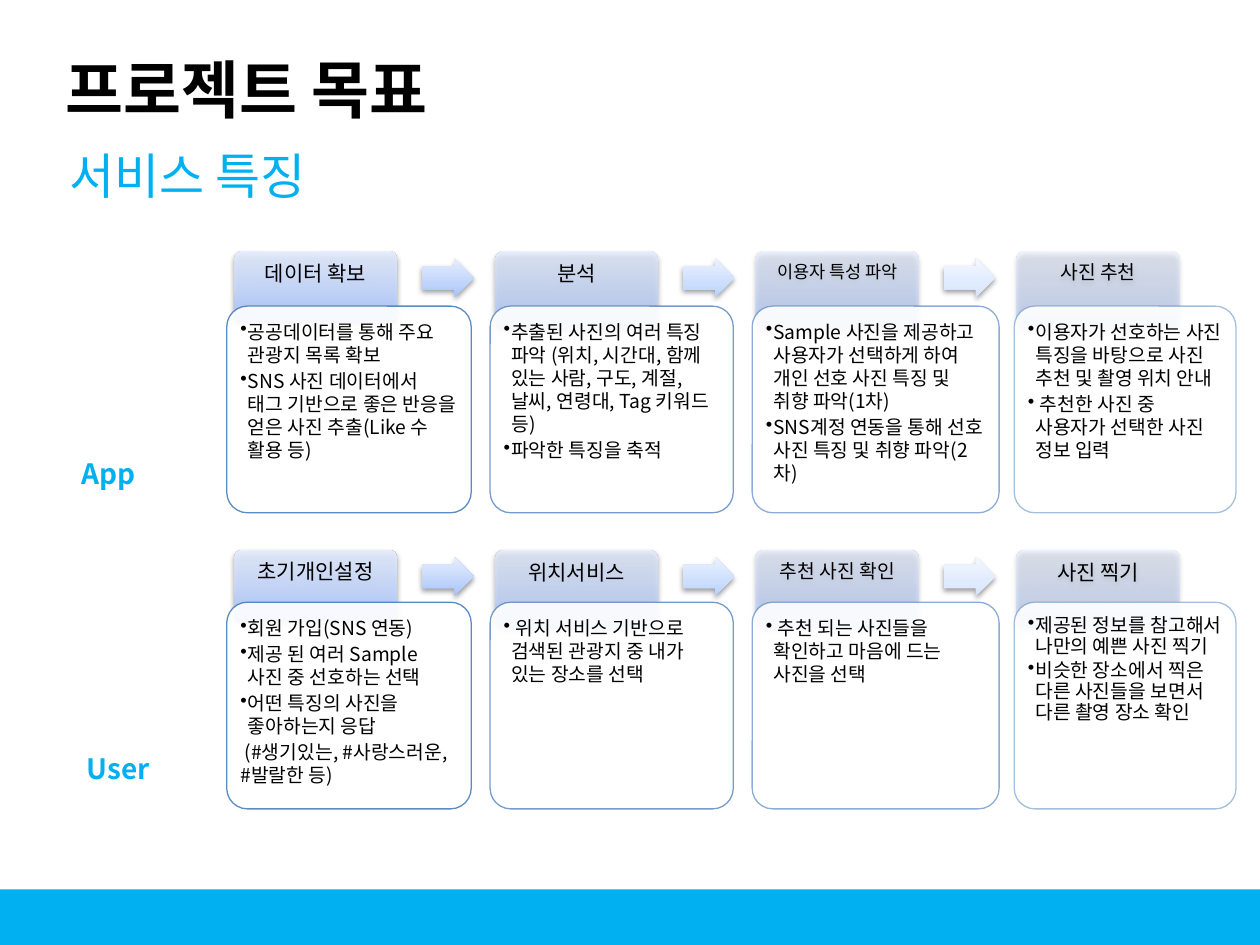
import pptx
import pptx.util
import pptx.dml.color
import pptx.enum.shapes
import pptx.enum.text
import pptx.oxml
import pptx.oxml.ns
from lxml import etree

Inches, Pt = pptx.util.Inches, pptx.util.Pt
RGB = pptx.dml.color.RGBColor.from_string
SHAPE = pptx.enum.shapes.MSO_SHAPE
ANCHOR = pptx.enum.text.MSO_ANCHOR
ALIGN = pptx.enum.text.PP_ALIGN
qn = pptx.oxml.ns.qn

THEME = {
    "font": "Noto Sans CJK KR", "accent": "00B0F0", "text": "000000",
    "panel": "FFFFFF", "border": "4B7EBC",
    "title": 36, "subtitle": 28, "label": 16, "body": 11,
    "header_grad": ("A4C4FF", "BFD4FF", "E6EEFF"),
    "arrow_grads": (("A5C2FB", "C0D4FB", "E6EEFE"),
                    ("B7D1FE", "CCDEFE", "EBF2FF"),
                    ("D6E3FE", "E1EBFE", "F3F7FF")),
}

TITLE, SUBTITLE = "프로젝트 목표", "서비스 특징"

# Step: heading, heading size, bulleted items, closing line without bullet, line pitch
FLOWS = [
    {"label": "App", "label_box": (0.55, 3.58, 0.67, 0.35), "top": 2.0, "panel_top": 2.43, "steps": [
        ("데이터 확보", 12, ["공공데이터를 통해 주요 관광지 목록 확보",
                        "SNS 사진 데이터에서 태그 기반으로 좋은 반응을 얻은 사진 추출(Like 수 활용 등)"], None, 13.25),
        ("분석", 12, ["추출된 사진의 여러 특징 파악 (위치, 시간대, 함께 있는 사람, 구도, 계절, 날씨, 연령대, Tag 키워드 등)",
                    "파악한 특징을 축적"], None, 13.25),
        ("이용자 특성 파악", 10, ["Sample 사진을 제공하고 사용자가 선택하게 하여 개인 선호 사진 특징 및 취향 파악(1차)",
                           "SNS계정 연동을 통해 선호 사진 특징 및 취향 파악(2차)"], None, 13.25),
        ("사진 추천", 11, ["이용자가 선호하는 사진 특징을 바탕으로 사진 추천 및 촬영 위치 안내",
                       " 추천한 사진 중 사용자가 선택한 사진 정보 입력"], None, 13.25),
    ]},
    {"label": "User", "label_box": (0.59, 5.91, 0.71, 0.37), "top": 4.37, "panel_top": 4.78, "steps": [
        ("초기개인설정", 12, ["회원 가입(SNS 연동)", "제공 된 여러 Sample 사진 중 선호하는 선택",
                         "어떤 특징의 사진을 좋아하는지 응답"],
         " (#생기있는, #사랑스러운, #발랄한 등)", 13.25),
        ("위치서비스", 12, [" 위치 서비스 기반으로 검색된 관광지 중 내가 있는 장소를 선택"], None, 13.25),
        ("추천 사진 확인", 11, [" 추천 되는 사진들을 확인하고 마음에 드는 사진을 선택"], None, 13.25),
        ("사진 찍기", 12, ["제공된 정보를 참고해서 나만의 예쁜 사진 찍기",
                       "비슷한 장소에서 찍은 다른 사진들을 보면서 다른 촬영 장소 확인"], None, 12),
    ]},
]

STEP_PITCH, HEADER_LEFT, HEADER_W, ARROW_LEFT = 2.07, 1.86, 1.29, 3.35
HEADER_HEIGHTS = (0.55, 0.61, 0.61, 0.61)
PANELS = ((1.8, 1.94), (3.89, 1.93), (5.97, 1.96), (8.05, 1.76))  # left, width
PANEL_H, OPACITIES = 1.64, (90, 77, 63, 50)


def add_run(p, text, size, color, bold=False):
    r = p.add_run()
    r.text = text
    f = r.font
    f.name, f.size, f.bold = THEME["font"], Pt(size), bold
    f.color.rgb = RGB(color)
    etree.SubElement(r._r.get_or_add_rPr(), qn("a:ea"), typeface=THEME["font"])


def set_margins(tf, left, top, right, bottom):
    tf.margin_left, tf.margin_top = Inches(left), Inches(top)
    tf.margin_right, tf.margin_bottom = Inches(right), Inches(bottom)


def set_opacity(fill, percent):
    color = fill._xPr.find(".//" + qn("a:srgbClr"))
    etree.SubElement(color, qn("a:alpha"), val=str(percent * 1000))


def add_box(slide, kind, box):
    s = slide.shapes.add_shape(kind, *map(Inches, box))
    s.shadow.inherit = False
    s.line.fill.background()
    return s


def shade(s, colors, opacity=100):
    """Fill upwards with a three-stop gradient and cast a soft shadow."""
    ns = 'xmlns:a="http://schemas.openxmlformats.org/drawingml/2006/main"'
    stops = "".join(
        f'<a:gs pos="{pos}"><a:srgbClr val="{c}"><a:alpha val="{opacity * 1000}"/></a:srgbClr></a:gs>'
        for pos, c in zip((0, 35000, 100000), colors))
    sp_pr = s._element.spPr
    sp_pr.find(qn("a:prstGeom")).addnext(pptx.oxml.parse_xml(
        f'<a:gradFill {ns} rotWithShape="1"><a:gsLst>{stops}</a:gsLst>'
        '<a:lin ang="16200000" scaled="0"/></a:gradFill>'))
    sp_pr.find(qn("a:effectLst")).append(pptx.oxml.parse_xml(
        f'<a:outerShdw {ns} blurRad="{Pt(3.1)}" dist="{Pt(1.6)}" dir="5400000" rotWithShape="0">'
        '<a:srgbClr val="000000"><a:alpha val="38000"/></a:srgbClr></a:outerShdw>'))


def add_header(slide, box, text, size, opacity):
    s = add_box(slide, SHAPE.ROUNDED_RECTANGLE, box)
    s.adjustments[0] = 0.1
    shade(s, THEME["header_grad"], opacity)
    tf = s.text_frame
    tf.word_wrap, tf.vertical_anchor = True, ANCHOR.TOP
    set_margins(tf, 0.07, 0.07, 0.07, 0.23)
    p = tf.paragraphs[0]
    p.alignment, p.line_spacing = ALIGN.CENTER, Pt(size * 1.08)
    add_run(p, text, size, THEME["text"])


def add_panel(slide, box, items, closing, pitch, opacity):
    s = add_box(slide, SHAPE.ROUNDED_RECTANGLE, box)
    s.adjustments[0] = 0.1
    s.fill.solid()
    s.fill.fore_color.rgb = RGB(THEME["panel"])
    set_opacity(s.fill, 90)
    s.line.color.rgb = RGB(THEME["border"])
    s.line.width = Pt(0.75)
    set_opacity(s.line.fill, opacity)
    tf = s.text_frame
    tf.word_wrap, tf.vertical_anchor = True, ANCHOR.TOP
    set_margins(tf, 0.06, 0.06, 0.06, 0.06)
    lines = [(item, True) for item in items] + ([(closing, False)] if closing else [])
    for i, (text, bulleted) in enumerate(lines):
        p = tf.add_paragraph() if i else tf.paragraphs[0]
        if bulleted:
            p_pr = p._p.get_or_add_pPr()
            p_pr.set("marL", str(Inches(0.06)))
            p_pr.set("indent", str(-Inches(0.06)))
            etree.SubElement(p_pr, qn("a:buChar"), char="•")
        p.alignment, p.line_spacing, p.space_after = ALIGN.LEFT, Pt(pitch), Pt(1.65)
        add_run(p, text, THEME["body"], THEME["text"])


def fill_text(s, box, text, size, color, bold=False, wrap=True):
    s.left, s.top, s.width, s.height = map(Inches, box)
    tf = s.text_frame
    tf.word_wrap, tf.vertical_anchor = wrap, ANCHOR.MIDDLE
    tf.auto_size = pptx.enum.text.MSO_AUTO_SIZE.NONE
    set_margins(tf, 0.1, 0.05, 0.1, 0.05)
    p = tf.paragraphs[0]
    p_pr = p._p.get_or_add_pPr()
    p_pr.set("marL", "0")
    p_pr.set("indent", "0")
    etree.SubElement(p_pr, qn("a:buNone"))
    p.alignment, p.space_before = ALIGN.LEFT, Pt(0)
    add_run(p, text, size, color, bold)


def add_flow(slide, flow):
    top = flow["top"]
    for i, (heading, size, items, closing, pitch) in enumerate(flow["steps"]):
        shift = i * STEP_PITCH
        add_header(slide, (HEADER_LEFT + shift, top, HEADER_W, HEADER_HEIGHTS[i]),
                   heading, size, OPACITIES[i])
        left, width = PANELS[i]
        add_panel(slide, (left, flow["panel_top"], width, PANEL_H), items, closing, pitch, OPACITIES[i])
        if i < len(THEME["arrow_grads"]):
            arrow = add_box(slide, SHAPE.RIGHT_ARROW, (ARROW_LEFT + shift, top + 0.05, 0.41, 0.31))
            arrow.adjustments[0], arrow.adjustments[1] = 0.6, 0.5
            shade(arrow, THEME["arrow_grads"][i])
    fill_text(slide.shapes.add_textbox(0, 0, 0, 0), flow["label_box"], flow["label"],
              THEME["label"], THEME["accent"], bold=True)


def main():
    prs = pptx.Presentation()
    prs.slide_width, prs.slide_height = Inches(10), Inches(7.5)
    slide = prs.slides.add_slide(prs.slide_layouts[1])
    fill_text(slide.shapes.title, (0.42, 0.35, 3.41, 0.71), TITLE,
              THEME["title"], THEME["text"], bold=True, wrap=False)
    fill_text(slide.placeholders[1], (0.45, 1.03, 7.87, 0.71), SUBTITLE,
              THEME["subtitle"], THEME["accent"])
    bar = add_box(slide, SHAPE.RECTANGLE, (0, 7.06, 10, 0.44))
    bar.fill.solid()
    bar.fill.fore_color.rgb = RGB(THEME["accent"])
    for flow in FLOWS:
        add_flow(slide, flow)
    prs.save("out.pptx")


if __name__ == "__main__":
    main()
